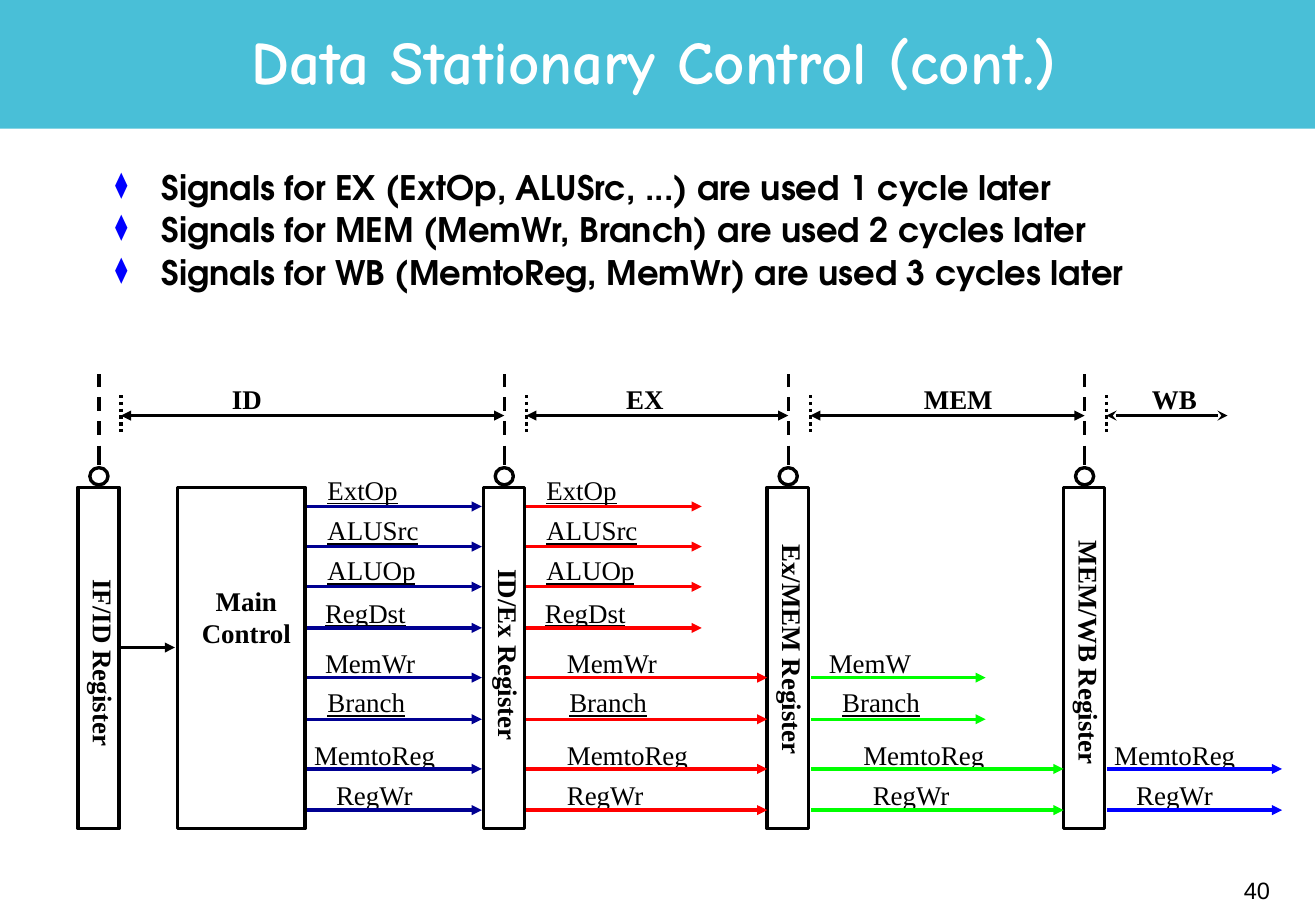
from lxml import etree
from pptx import Presentation
from pptx.dml.color import RGBColor
from pptx.enum import dml, shapes, text
from pptx.oxml import ns
from pptx.util import Cm, Pt

BLACK = RGBColor(0x00, 0x00, 0x00)
WHITE = RGBColor(0xFF, 0xFF, 0xFF)
TEAL = RGBColor(0x49, 0xBF, 0xD7)
NAVY = RGBColor(0x00, 0x00, 0x92)
RED = RGBColor(0xFF, 0x00, 0x00)
GREEN = RGBColor(0x00, 0xFF, 0x00)
BLUE = RGBColor(0x00, 0x00, 0xFF)

TITLE = "Data Stationary Control (cont.)"
POINTS = [
    "Signals for EX (ExtOp, ALUSrc, ...) are used 1 cycle later",
    "Signals for MEM (MemWr, Branch) are used 2 cycles later",
    "Signals for WB (MemtoReg, MemWr) are used 3 cycles later",
]
PAGE = "40"

# name, left, label centre y, label length
REGISTERS = [
    ("IF/ID Register", 1.63, 13.86, 4.01),
    ("ID/Ex Register", 10.11, 13.7, 4.09),
    ("Ex/MEM Register", 16.05, 13.58, 4.9),
    ("MEM/WB Register", 22.25, 13.65, 5.18),
]
# name, label left, label width
STAGES = [("ID", 4.6, 1.14), ("EX", 12.85, 1.3), ("MEM", 19.08, 1.96), ("WB", 23.85, 1.45)]
# label top, arrow y, label width
ROWS = {
    "ExtOp": (9.78, 10.59, 1.98),
    "ALUSrc": (10.62, 11.43, 2.41),
    "ALUOp": (11.46, 12.27, 2.36),
    "RegDst": (12.34, 13.13, 2.21),
    "MemWr": (13.39, 14.17, 2.62),
    "Branch": (14.22, 15.04, 2.13),
    "MemtoReg": (15.32, 16.08, 3.05),
    "RegWr": (16.15, 16.94, 2.13),
}
# colour, arrow start, end of signals used here, end of signals passed on, label lefts
SIGNALS = [
    (NAVY, 6.43, 10.08, 10.08, {
        "ExtOp": 6.6, "ALUSrc": 6.6, "ALUOp": 6.6, "RegDst": 6.55,
        "MemWr": 6.55, "Branch": 6.6, "MemtoReg": 6.32, "RegWr": 6.78}),
    (RED, 11, 14.68, 16.05, {
        "ExtOp": 11.18, "ALUSrc": 11.18, "ALUOp": 11.18, "RegDst": 11.15,
        "MemWr": 11.61, "Branch": 11.66, "MemtoReg": 11.61, "RegWr": 11.61}),
    (GREEN, 16.97, 20.62, 22.25, {
        "MemWr": 17.09, "Branch": 17.37, "MemtoReg": 17.81, "RegWr": 18.01}),
    (BLUE, 23.16, 26.82, 26.82, {"MemtoReg": 23.06, "RegWr": 23.52}),
]
USED_HERE = {RED: ("ExtOp", "ALUSrc", "ALUOp", "RegDst"), GREEN: ("MemWr", "Branch")}
SHORTENED = {(GREEN, "MemWr"): "MemW"}

REGISTER_TOP, REGISTER_WIDTH, REGISTER_HEIGHT = 10.19, 0.86, 7.14
CLOCK_OFFSET, EXIT_OFFSET, LABEL_OFFSET = 0.44, 0.9, 0.53
STAGE_Y, STAGES_END = 8.69, 25.68
LABEL_HEIGHT = 0.94

deck = Presentation()
deck.slide_width, deck.slide_height = Cm(27.53), Cm(19.05)
slide = deck.slides.add_slide(deck.slide_layouts[6])


def add_bullet(paragraph):
    props = paragraph._p.get_or_add_pPr()
    props.set("marL", str(Cm(0.97)))
    props.set("indent", str(-Cm(0.97)))
    colour = etree.SubElement(props, ns.qn("a:buClr"))
    etree.SubElement(colour, ns.qn("a:srgbClr"), val=str(BLUE))
    etree.SubElement(props, ns.qn("a:buSzPct"), val="75000")
    etree.SubElement(props, ns.qn("a:buChar"), char="⧫")


def write(lines, left, top, width, height, font="Times New Roman", size=16, color=BLACK,
          bold=False, underline=False, align=text.PP_ALIGN.LEFT, anchor=text.MSO_ANCHOR.TOP,
          wrap=True, right_inset=0.25, spacing=None, before=0, bullet=False, turn=0):
    box = slide.shapes.add_textbox(Cm(left), Cm(top), Cm(width), Cm(height))
    box.rotation = turn
    frame = box.text_frame
    frame.word_wrap = wrap
    frame.vertical_anchor = anchor
    frame.margin_right = Cm(right_inset)
    for index, line in enumerate(lines):
        paragraph = frame.add_paragraph() if index else frame.paragraphs[0]
        if bullet:
            add_bullet(paragraph)
        paragraph.alignment = align
        if spacing:
            paragraph.line_spacing = spacing
        if index and before:
            paragraph.space_before = Pt(before)
        run = paragraph.add_run()
        run.text = line
        run.font.name, run.font.size = font, Pt(size)
        run.font.bold, run.font.underline = bold, underline
        run.font.color.rgb = color


def draw_line(x1, y1, x2, y2, color=BLACK, dash=None, head=None, tail=None):
    line = slide.shapes.add_connector(
        shapes.MSO_CONNECTOR.STRAIGHT, Cm(x1), Cm(y1), Cm(x2), Cm(y2))
    line.line.color.rgb = color
    line.line.width = Pt(2)
    if dash:
        line.line.dash_style = dash
    outline = line.line._get_or_add_ln()
    for tag, kind in (("a:headEnd", head), ("a:tailEnd", tail)):
        if kind:
            etree.SubElement(outline, ns.qn(tag), type=kind)
    etree.SubElement(line._element.spPr, ns.qn("a:effectLst"))


def draw_shape(kind, left, top, width, height, fill=None):
    shape = slide.shapes.add_shape(kind, Cm(left), Cm(top), Cm(width), Cm(height))
    shape.shadow.inherit = False
    if fill:
        shape.fill.solid()
        shape.fill.fore_color.rgb = fill
        shape.line.fill.background()
    else:
        shape.fill.background()
        shape.line.color.rgb = BLACK
        shape.line.width = Pt(2)


RECT, OVAL = shapes.MSO_SHAPE.RECTANGLE, shapes.MSO_SHAPE.OVAL
CENTER, MIDDLE = text.PP_ALIGN.CENTER, text.MSO_ANCHOR.MIDDLE

draw_shape(RECT, 0, 0, 27.51, 2.69, fill=TEAL)
write([TITLE], 1.98, 0.13, 23.39, 2.51, font="Comic Neue", size=36, color=WHITE, bold=True,
      align=CENTER, anchor=MIDDLE, spacing=0.85)
write(POINTS, 2.16, 3.45, 23.39, 14.12, font="TeX Gyre Adventor", size=20, bold=True,
      spacing=0.9, before=3.7, bullet=True)

for name, left, label_y, length in REGISTERS:
    clock, exit_x = left + CLOCK_OFFSET, left + EXIT_OFFSET
    draw_shape(RECT, left, REGISTER_TOP, REGISTER_WIDTH, REGISTER_HEIGHT)
    write([name], left + LABEL_OFFSET - length / 2, label_y - LABEL_HEIGHT / 2, length,
          LABEL_HEIGHT, bold=True, align=CENTER, wrap=False, turn=90)
    draw_shape(OVAL, clock - 0.19, 9.78, 0.38, 0.36)
    draw_line(clock, 9.32, clock, 9.73)
    draw_line(clock, 9.09, clock, 7.82, dash=dml.MSO_LINE.DASH)
    draw_line(exit_x, 8.26, exit_x, 9.09, dash=dml.MSO_LINE.ROUND_DOT)

stage_ends = [left + CLOCK_OFFSET for _, left, _, _ in REGISTERS[1:]] + [STAGES_END]
for (stage, label_left, width), register, end in zip(STAGES, REGISTERS, stage_ends):
    tip = "stealth" if end == STAGES_END else "triangle"
    write([stage], label_left, 7.87, width, LABEL_HEIGHT, bold=True, right_inset=0)
    draw_line(register[1] + EXIT_OFFSET, STAGE_Y, end, STAGE_Y, head=tip, tail=tip)

draw_shape(RECT, 3.71, REGISTER_TOP, 2.67, REGISTER_HEIGHT)
write(["Main", "Control"], 3.96, 12.09, 2.39, 1.6, bold=True, align=CENTER, wrap=False)
draw_line(2.51, 13.54, 3.66, 13.54, tail="triangle")

for color, start, used_end, passed_end, label_lefts in SIGNALS:
    for signal, label_left in label_lefts.items():
        top, arrow_y, width = ROWS[signal]
        end = used_end if signal in USED_HERE.get(color, ()) else passed_end
        write([SHORTENED.get((color, signal), signal)], label_left, top, width, LABEL_HEIGHT,
              underline=True, right_inset=0)
        draw_line(start, arrow_y, end, arrow_y, color=color, tail="triangle")

write([PAGE], 21.08, 17.98, 5.74, 1.27, font="Arial", size=14,
      align=text.PP_ALIGN.RIGHT, anchor=MIDDLE)

deck.save("out.pptx")
